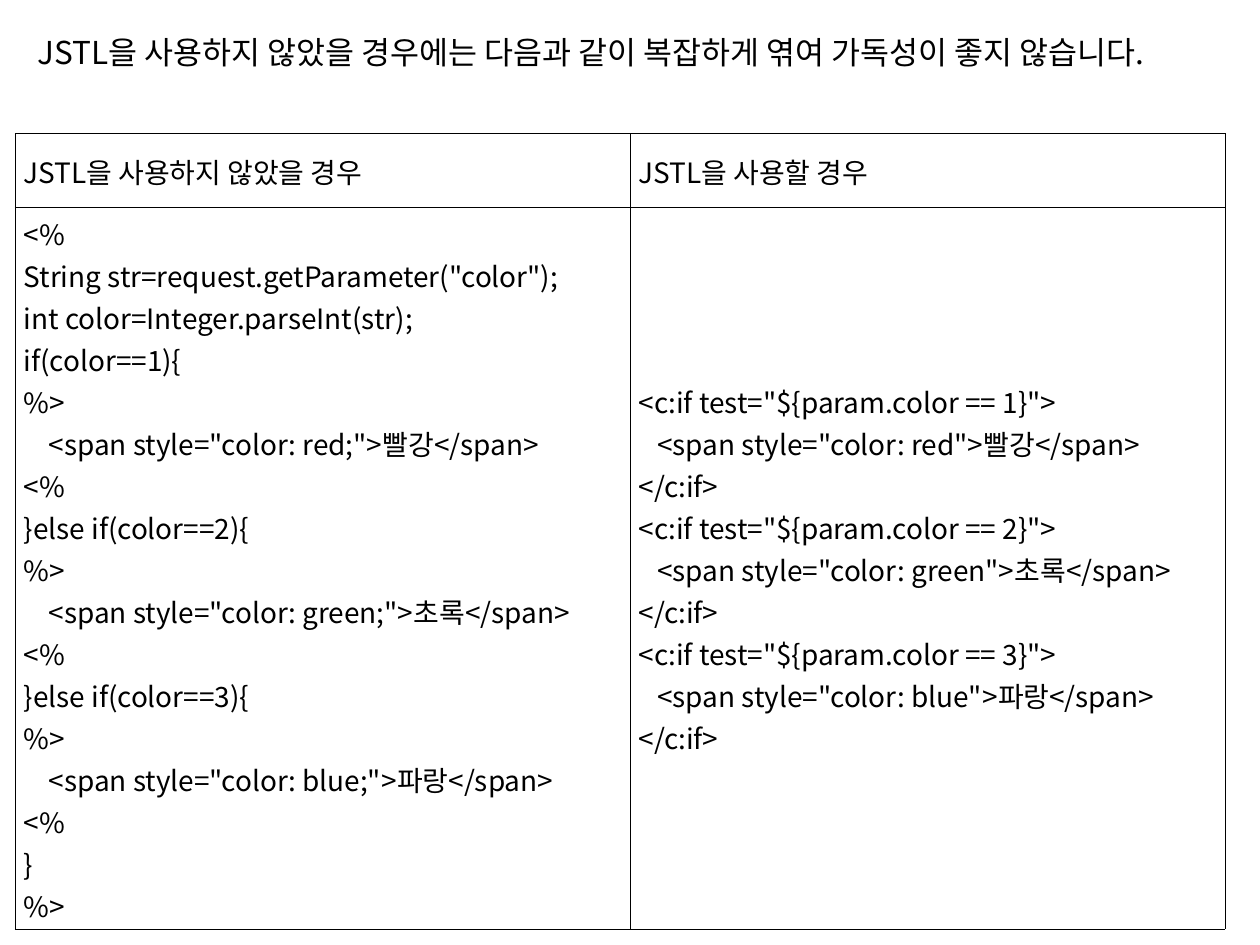
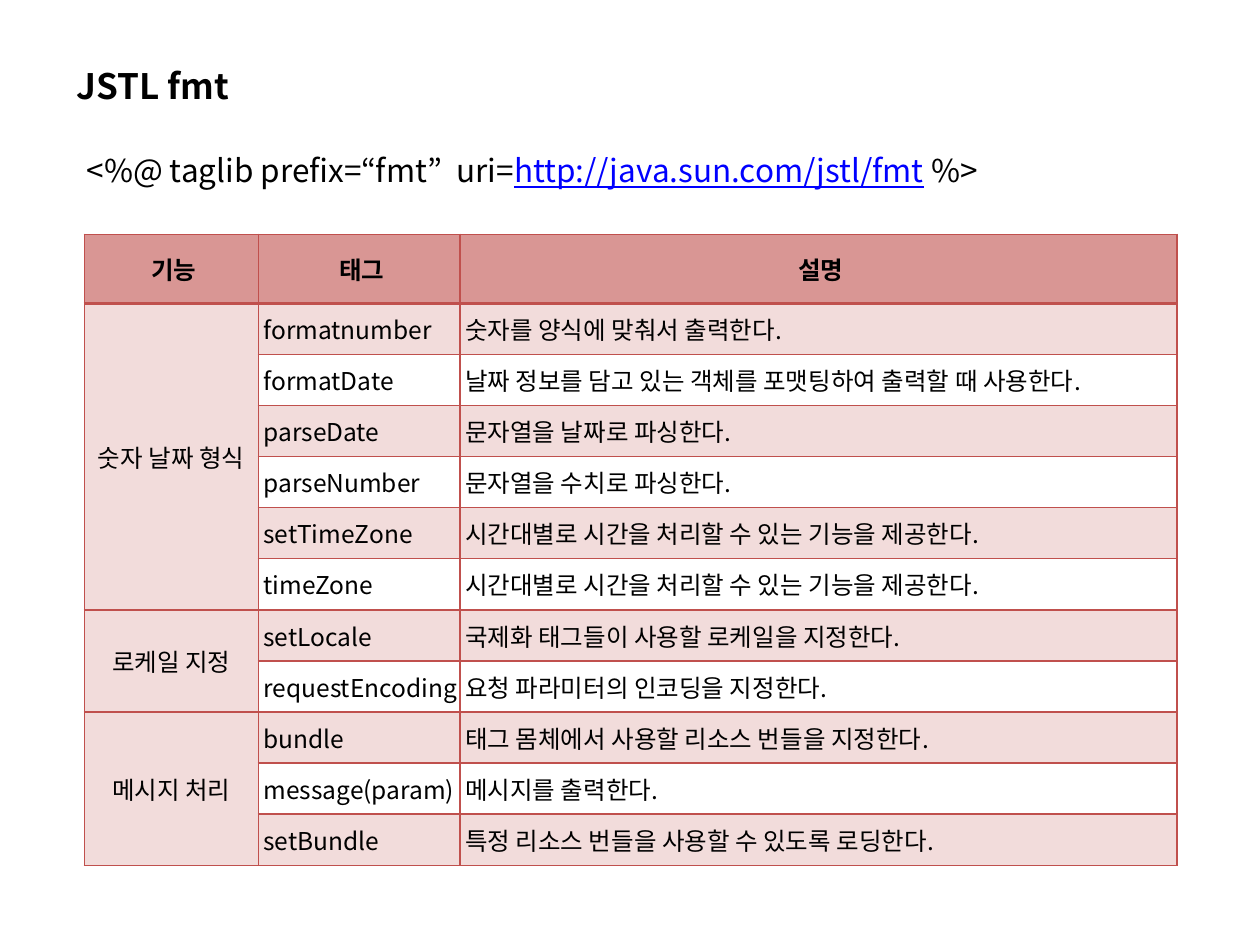
"""Build two JSTL slides: a code comparison and the fmt tag table."""
from dataclasses import dataclass

from lxml import etree
from pptx import Presentation
from pptx.dml.color import RGBColor
from pptx.enum import text as t
from pptx.oxml import ns
from pptx.util import Pt


@dataclass(frozen=True)
class Theme:
    """Font, colours and type sizes shared by the slides."""
    font: str = "Noto Sans CJK KR"
    ink: str = "000000"
    link: str = "0000FF"
    accent: str = "C0504D"
    header: str = "D99694"
    tint: int = 20
    title: float = 20
    lead: float = 18
    code: float = 16
    cell: float = 14


@dataclass(frozen=True)
class Box:
    """A rectangle in points."""
    left: float
    top: float
    width: float
    height: float

    def lengths(self) -> list:
        """Return the four sides as lengths."""
        return [Pt(v) for v in (self.left, self.top, self.width, self.height)]


@dataclass(frozen=True)
class Grid:
    """Place, tracks and line of a table."""
    left: float
    top: float
    cols: tuple
    rows: tuple
    line: str
    weight: float


@dataclass(frozen=True)
class Margins:
    """Cell margins in points."""
    left: float = 0
    right: float = 0
    vertical: float = 0


@dataclass(frozen=True)
class TagGroup:
    """A function group with its tags and their descriptions."""
    name: str
    tags: tuple


TH = Theme()
LEFT, CENTER, JUSTIFY = t.PP_ALIGN.LEFT, t.PP_ALIGN.CENTER, t.PP_ALIGN.JUSTIFY

SCRIPTLET = """<%
String str=request.getParameter("color");
int color=Integer.parseInt(str);
if(color==1){
%>
    <span style="color: red;">빨강</span>
<%
}else if(color==2){
%>
    <span style="color: green;">초록</span>
<%
}else if(color==3){
%>
    <span style="color: blue;">파랑</span>
<%
}
%>"""

JSTL = """<c:if test="${param.color == 1}">
   <span style="color: red">빨강</span>
</c:if>
<c:if test="${param.color == 2}">
   <span style="color: green">초록</span>
</c:if>
<c:if test="${param.color == 3}">
   <span style="color: blue">파랑</span>
</c:if>"""

COMPARISON = (("JSTL을 사용하지 않았을 경우", "JSTL을 사용할 경우"), (SCRIPTLET, JSTL))

TAG_HEADERS = ("기능", "태그", "설명")
TAG_GROUPS = (
    TagGroup("숫자 날짜 형식", (
        ("formatnumber", "숫자를 양식에 맞춰서 출력한다."),
        ("formatDate", "날짜 정보를 담고 있는 객체를 포맷팅하여 출력할 때 사용한다."),
        ("parseDate", "문자열을 날짜로 파싱한다."),
        ("parseNumber", "문자열을 수치로 파싱한다."),
        ("setTimeZone", "시간대별로 시간을 처리할 수 있는 기능을 제공한다."),
        ("timeZone", "시간대별로 시간을 처리할 수 있는 기능을 제공한다."),
    )),
    TagGroup("로케일 지정", (
        ("setLocale", "국제화 태그들이 사용할 로케일을 지정한다."),
        ("requestEncoding", "요청 파라미터의 인코딩을 지정한다."),
    )),
    TagGroup("메시지 처리", (
        ("bundle", "태그 몸체에서 사용할 리소스 번들을 지정한다."),
        ("message(param)", "메시지를 출력한다."),
        ("setBundle", "특정 리소스 번들을 사용할 수 있도록 로딩한다."),
    )),
)


def format_run(r, size: float, color: str = TH.ink, bold: bool = False) -> None:
    """Apply the theme font, a size, a colour and a weight to a run."""
    r.font.name = TH.font
    r.font.size = Pt(size)
    r.font.bold = bold
    r.font.color.rgb = RGBColor.from_string(color)
    ea = etree.Element(ns.qn("a:ea"), typeface=TH.font)
    r.font._element.find(ns.qn("a:latin")).addnext(ea)


def format_text(tf, size: float, align=LEFT, bold: bool = False, spacing=None) -> None:
    """Format all paragraphs of a text frame alike."""
    for p in tf.paragraphs:
        p.alignment = align
        if spacing:
            p.line_spacing = Pt(spacing)
        for r in p.runs:
            format_run(r, size, bold=bold)


def set_title(s, wording: str, box: Box, size: float, anchor, bold: bool = False) -> None:
    """Fill, move and format the title placeholder."""
    sp = s.shapes.title
    sp.left, sp.top, sp.width, sp.height = box.lengths()
    tf = sp.text_frame
    tf.text = wording
    tf.word_wrap = True
    tf.auto_size = t.MSO_AUTO_SIZE.NONE
    tf.vertical_anchor = anchor
    format_text(tf, size, bold=bold)


def add_grid(s, grid: Grid):
    """Add a plain table with the given column widths and row heights."""
    box = Box(grid.left, grid.top, sum(grid.cols), sum(grid.rows))
    table = s.shapes.add_table(len(grid.rows), len(grid.cols), *box.lengths()).table
    table.first_row = table.horz_banding = False
    for column, width in zip(table.columns, grid.cols):
        column.width = Pt(width)
    for row, height in zip(table.rows, grid.rows):
        row.height = Pt(height)
    return table


def set_fill(cell, color: str = "", alpha: int = 100) -> None:
    """Fill a cell with a colour, or clear it when none is given."""
    if not color:
        cell.fill.background()
        return
    cell.fill.solid()
    cell.fill.fore_color.rgb = RGBColor.from_string(color)
    if alpha < 100:
        clr = cell._tc.tcPr.find(".//" + ns.qn("a:srgbClr"))
        etree.SubElement(clr, ns.qn("a:alpha"), val=str(alpha * 1000))


def set_borders(cell, color: str, left: float, right: float, top: float, bottom: float) -> None:
    """Draw the four borders of a filled cell, with widths in points."""
    widths = {"lnL": left, "lnR": right, "lnT": top, "lnB": bottom}
    for i, (tag, width) in enumerate(widths.items()):
        ln = etree.Element(ns.qn(f"a:{tag}"), w=str(int(Pt(width))))
        fill = etree.SubElement(ln, ns.qn("a:solidFill"))
        etree.SubElement(fill, ns.qn("a:srgbClr"), val=color)
        cell._tc.get_or_add_tcPr().insert(i, ln)


def set_cell(cell, wording: str, margins: Margins) -> None:
    """Put text in a cell, centred vertically within its margins."""
    cell.text_frame.text = wording
    cell.vertical_anchor = t.MSO_ANCHOR.MIDDLE
    cell.margin_left, cell.margin_right = Pt(margins.left), Pt(margins.right)
    cell.margin_top = cell.margin_bottom = Pt(margins.vertical)


def add_comparison_slide(prs) -> None:
    """Add the slide comparing code with and without JSTL."""
    s = prs.slides.add_slide(prs.slide_layouts[5])
    set_title(s, "JSTL을 사용하지 않았을 경우에는 다음과 같이 복잡하게 엮여 가독성이 좋지 않습니다.",
              Box(14.4, 15.1, 686.2, 51.1), TH.lead, t.MSO_ANCHOR.TOP)
    grid = Grid(8.6, 76.3, (351.4, 340), (42.2, 412.4), TH.ink, 0.28)
    table = add_grid(s, grid)
    for i, row in enumerate(COMPARISON):
        for j, wording in enumerate(row):
            cell = table.cell(i, j)
            set_cell(cell, wording, Margins(5, 5, 1.4))
            format_text(cell.text_frame, TH.code, JUSTIFY, spacing=24)
            set_fill(cell)
            set_borders(cell, grid.line, *[grid.weight] * 4)


def add_taglib_line(s) -> None:
    """Add the taglib directive with its underlined address."""
    tf = s.shapes.add_textbox(*Box(42.5, 82.8, 660.2, 28.8).lengths()).text_frame
    tf.word_wrap = True
    p = tf.paragraphs[0]
    pieces = (("<%@ taglib prefix=“fmt”  uri=", TH.ink),
              ("http://java.sun.com/jstl/fmt", TH.link), (" %>", TH.ink))
    for wording, color in pieces:
        r = p.add_run()
        r.text = wording
        format_run(r, TH.lead, color)
        r.font.underline = color == TH.link


def add_tag_slide(prs) -> None:
    """Add the slide listing the fmt tags by function."""
    s = prs.slides.add_slide(prs.slide_layouts[5])
    set_title(s, "JSTL fmt", Box(36.7, 20.9, 648, 55.4), TH.title, t.MSO_ANCHOR.MIDDLE, True)
    add_taglib_line(s)

    rows = [TAG_HEADERS]
    for group in TAG_GROUPS:
        rows += [("" if k else group.name, *tag) for k, tag in enumerate(group.tags)]
    grid = Grid(48.2, 133.9, (99.4, 115.2, 409.7),
                (39.4, *[29.2] * (len(rows) - 1)), TH.accent, 1)
    table = add_grid(s, grid)

    for i, row in enumerate(rows):
        for j, wording in enumerate(row):
            cell = table.cell(i, j)
            header, group_name = i == 0, j == 0
            set_cell(cell, wording, Margins(left=3 if header or not group_name else 0))
            format_text(cell.text_frame, TH.cell, CENTER if header or group_name else LEFT, header)
            if header:
                set_fill(cell, TH.header)
            elif group_name or i % 2:
                set_fill(cell, TH.accent, TH.tint)
            else:
                set_fill(cell)
            w = grid.weight
            set_borders(cell, grid.line, w, w, 2 * w if i == 1 else w, 2 * w if header else w)

    first = 1
    for group in TAG_GROUPS:
        last = first + len(group.tags) - 1
        table.cell(first, 0).merge(table.cell(last, 0))
        first = last + 1


def main() -> None:
    """Build and save the presentation."""
    prs = Presentation()
    prs.slide_width, prs.slide_height = Pt(720), Pt(540)
    add_comparison_slide(prs)
    add_tag_slide(prs)
    prs.save("out.pptx")


if __name__ == "__main__":
    main()
